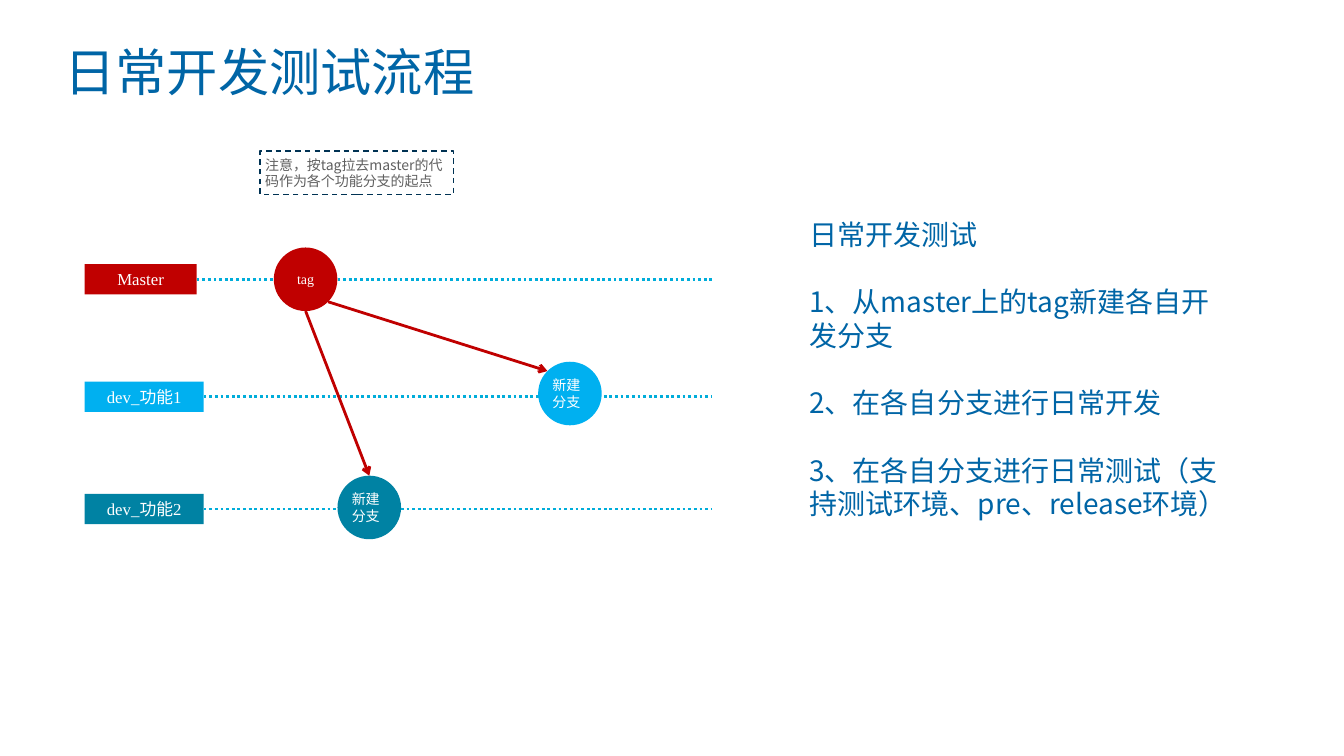
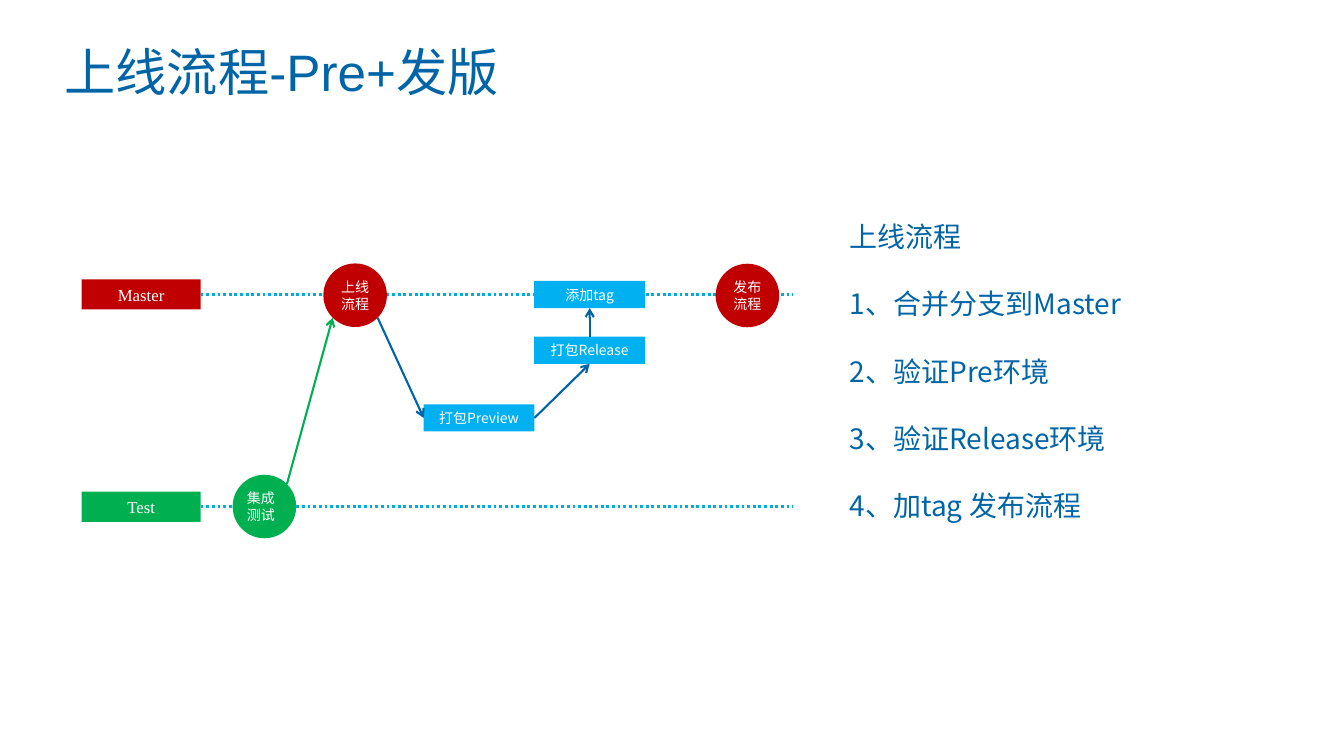
from dataclasses import dataclass
from math import cos, radians, sin

from lxml.etree import SubElement
from pptx import Presentation
from pptx.dml.color import RGBColor
from pptx.enum.dml import MSO_LINE
from pptx.enum.shapes import MSO_CONNECTOR, MSO_SHAPE
from pptx.enum.text import MSO_ANCHOR, MSO_AUTO_SIZE, PP_ALIGN
from pptx.oxml.ns import qn
from pptx.util import Pt


@dataclass(frozen=True)
class Theme:
    blue: str = "0065A6"
    lane: str = "00ADDA"
    red: str = "C00000"
    sky: str = "00B0F0"
    teal: str = "0082A3"
    green: str = "00B050"
    navy: str = "003253"
    gray: str = "606060"
    white: str = "FFFFFF"
    title_font: str = "Arial"
    sans: str = "Noto Sans CJK SC"
    serif: str = "Times New Roman"
    title_size: float = 36.6
    body_size: float = 20
    label_size: float = 12
    node_size: float = 10


THEME = Theme()
SLIDE_SIZE = (960, 540)
TITLE_BOX = (36, 20, 911.5, 38)
LABEL_HEIGHT = 21.6
DIAMETER = 45.4
STEP_SIZE = (79.2, 19.4)
RECTANGLE_SITES = {"top": 0, "left": 1, "bottom": 2, "right": 3}
CIRCLE_ANGLES = {"top": -90, "top right": -45, "bottom right": 45,
                 "bottom": 90, "bottom left": 135, "top left": -135}

SLIDES = [
    {
        "title": "日常开发测试流程",
        "label_left": 60.5,
        "lane_end": 508.4,
        "lanes": [
            ("Master", 199.5, 80, THEME.red),
            ("dev_功能1", 283.5, 85, THEME.sky),
            ("dev_功能2", 363.6, 85, THEME.teal),
        ],
        "circles": {
            "tag": (["tag"], 218.3, 199.5, THEME.red, PP_ALIGN.CENTER),
            "first branch": (["新建分支"], 407.1, 281.1, THEME.sky, PP_ALIGN.LEFT),
            "second branch": (["新建分支"], 263.8, 362.5, THEME.teal, PP_ALIGN.LEFT),
        },
        "steps": {},
        "arrows": [
            ("tag", "bottom right", "first branch", "top left", THEME.red, 2),
            ("tag", "bottom", "second branch", "top", THEME.red, 2),
        ],
        "notes": [("注意，按tag拉去master的代码作为各个功能分支的起点",
                   (185.8, 108, 138, 31))],
        "body_box": (571, 152, 314.6, 225),
        "body": [
            "日常开发测试",
            "1、从master上的tag新建各自开发分支",
            "2、在各自分支进行日常开发",
            "3、在各自分支进行日常测试（支持测试环境、pre、release环境）",
        ],
    },
    {
        "title": "上线流程-Pre+发版",
        "label_left": 58.3,
        "lane_end": 566,
        "lanes": [
            ("Master", 210.3, 85, THEME.red),
            ("Test", 362, 85, THEME.green),
        ],
        "circles": {
            "launch": (["上线流程"], 253.7, 210.9, THEME.red, PP_ALIGN.CENTER),
            "integration": (["集成测试"], 188.9, 361.8, THEME.green, PP_ALIGN.LEFT),
            "publish": (["发布", "流程"], 533.9, 211.1, THEME.red, PP_ALIGN.CENTER),
        },
        "steps": {
            "preview": ("打包Preview", 342.2, 298.5),
            "release": ("打包Release", 421.2, 250.2),
            "add tag": ("添加tag", 421.2, 210.4),
        },
        "arrows": [
            ("integration", "top right", "launch", "bottom left", THEME.green, 1.5),
            ("launch", "bottom right", "preview", "left", THEME.blue, 1.5),
            ("preview", "right", "release", "bottom", THEME.blue, 1.5),
            ("release", "top", "add tag", "bottom", THEME.blue, 1.5),
        ],
        "notes": [],
        "body_box": (599.8, 153.4, 262, 250),
        "body": [
            "上线流程",
            "1、合并分支到Master",
            "2、验证Pre环境",
            "3、验证Release环境",
            "4、加tag 发布流程",
        ],
    },
]


def points(values):
    return [Pt(value) for value in values]


def write_text(shape, lines, size, font, color, align=PP_ALIGN.LEFT,
               anchor=MSO_ANCHOR.TOP, insets=(3.6, 3.6), leading=1.2, gap=0):
    frame = shape.text_frame
    frame.word_wrap = True
    frame.auto_size = MSO_AUTO_SIZE.NONE
    frame.vertical_anchor = anchor
    frame.margin_left = frame.margin_right = Pt(insets[0])
    frame.margin_top = frame.margin_bottom = Pt(insets[1])
    for index, line in enumerate(lines):
        paragraph = frame.add_paragraph() if index else frame.paragraphs[0]
        paragraph.alignment = align
        paragraph.line_spacing = Pt(round(size * leading, 1))
        paragraph.space_before = Pt(gap if index else 0)
        run = paragraph.add_run()
        run.text = line
        run.font.size = Pt(size)
        run.font.bold = False
        run.font.color.rgb = RGBColor.from_string(color)
        run.font.name = font
        SubElement(run.font._element, qn("a:ea"), typeface=THEME.sans)


def add_block(slide, kind, box, fill):
    shape = slide.shapes.add_shape(kind, *points(box))
    shape.shadow.inherit = False
    shape.fill.solid()
    shape.fill.fore_color.rgb = RGBColor.from_string(fill)
    shape.line.fill.background()
    return shape


def add_centered(slide, kind, center, size, fill):
    box = (center[0] - size[0] / 2, center[1] - size[1] / 2, *size)
    return add_block(slide, kind, box, fill)


def add_line(slide, start, end, color, width, dash=None, arrow=False):
    line = slide.shapes.add_connector(MSO_CONNECTOR.STRAIGHT, *points(start + end))
    line.line.color.rgb = RGBColor.from_string(color)
    line.line.width = Pt(width)
    if dash:
        line.line.dash_style = dash
    if arrow:
        SubElement(line.line._get_or_add_ln(), qn("a:tailEnd"), type="arrow")
    SubElement(line._element.spPr, qn("a:effectLst"))
    return line


def add_lane(slide, content, text, middle, width, fill):
    left = content["label_left"]
    label = add_block(slide, MSO_SHAPE.RECTANGLE,
                      (left, middle - LABEL_HEIGHT / 2, width, LABEL_HEIGHT), fill)
    write_text(label, [text], THEME.label_size, THEME.serif, THEME.white,
               align=PP_ALIGN.CENTER, anchor=MSO_ANCHOR.MIDDLE)
    line = add_line(slide, (left + width, middle), (content["lane_end"], middle),
                    THEME.lane, 2, dash=MSO_LINE.ROUND_DOT)
    line.begin_connect(label, RECTANGLE_SITES["right"])


def circle_point(circle, side):
    angle = radians(CIRCLE_ANGLES[side])
    radius = DIAMETER / 2
    return (circle[1] + radius * cos(angle), circle[2] + radius * sin(angle))


def add_arrow(slide, content, step_shapes, source, source_side,
              target, target_side, color, width):
    circles, steps = content["circles"], content["steps"]
    ends = [circle_point(circles[name], side) if name in circles else steps[name][1:]
            for name, side in ((source, source_side), (target, target_side))]
    arrow = add_line(slide, *ends, color, width, arrow=True)
    if source in step_shapes:
        arrow.begin_connect(step_shapes[source], RECTANGLE_SITES[source_side])
    if target in step_shapes:
        arrow.end_connect(step_shapes[target], RECTANGLE_SITES[target_side])


def add_title(slide, text):
    title = slide.shapes.title
    title.left, title.top, title.width, title.height = points(TITLE_BOX)
    write_text(title, [text], THEME.title_size, THEME.title_font, THEME.blue,
               insets=(10, 5), leading=1.3)


def build_slide(presentation, content):
    slide = presentation.slides.add_slide(presentation.slide_layouts[5])
    add_title(slide, content["title"])
    for lane in content["lanes"]:
        add_lane(slide, content, *lane)
    for lines, x, y, fill, align in content["circles"].values():
        circle = add_centered(slide, MSO_SHAPE.OVAL, (x, y), (DIAMETER, DIAMETER), fill)
        write_text(circle, lines, THEME.node_size, THEME.serif, THEME.white,
                   align=align, anchor=MSO_ANCHOR.MIDDLE)
    step_shapes = {}
    for name, (text, x, y) in content["steps"].items():
        step = add_centered(slide, MSO_SHAPE.RECTANGLE, (x, y), STEP_SIZE, THEME.sky)
        write_text(step, [text], THEME.node_size, THEME.sans, THEME.white,
                   align=PP_ALIGN.CENTER, anchor=MSO_ANCHOR.MIDDLE)
        step_shapes[name] = step
    for arrow in content["arrows"]:
        add_arrow(slide, content, step_shapes, *arrow)
    for text, box in content["notes"]:
        note = add_block(slide, MSO_SHAPE.RECTANGLE, box, THEME.white)
        note.line.color.rgb = RGBColor.from_string(THEME.navy)
        note.line.width = Pt(1)
        note.line.dash_style = MSO_LINE.DASH
        write_text(note, [text], THEME.node_size, THEME.sans, THEME.gray)
    body = slide.shapes.add_textbox(*points(content["body_box"]))
    write_text(body, content["body"], THEME.body_size, THEME.sans, THEME.blue,
               insets=(7.2, 3.6), gap=24)


def main():
    presentation = Presentation()
    presentation.slide_width, presentation.slide_height = points(SLIDE_SIZE)
    for content in SLIDES:
        build_slide(presentation, content)
    presentation.save("out.pptx")


if __name__ == "__main__":
    main()
